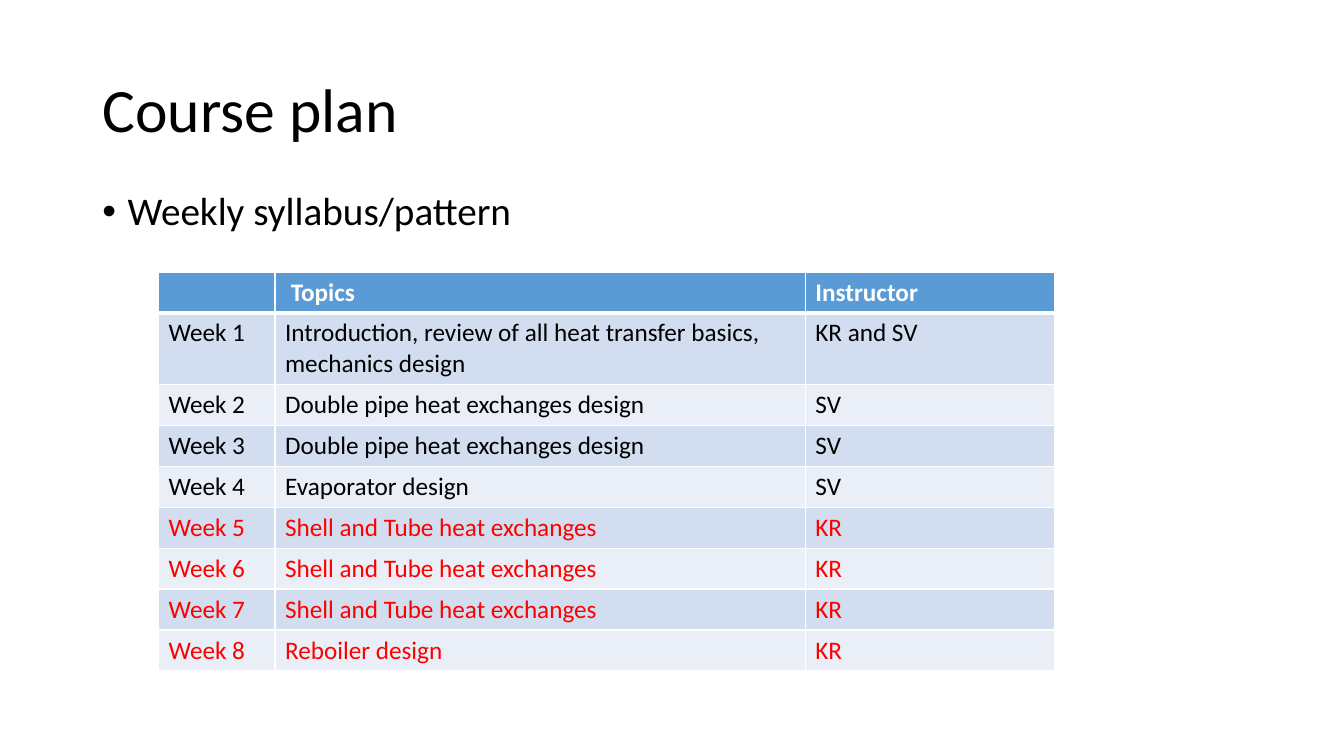
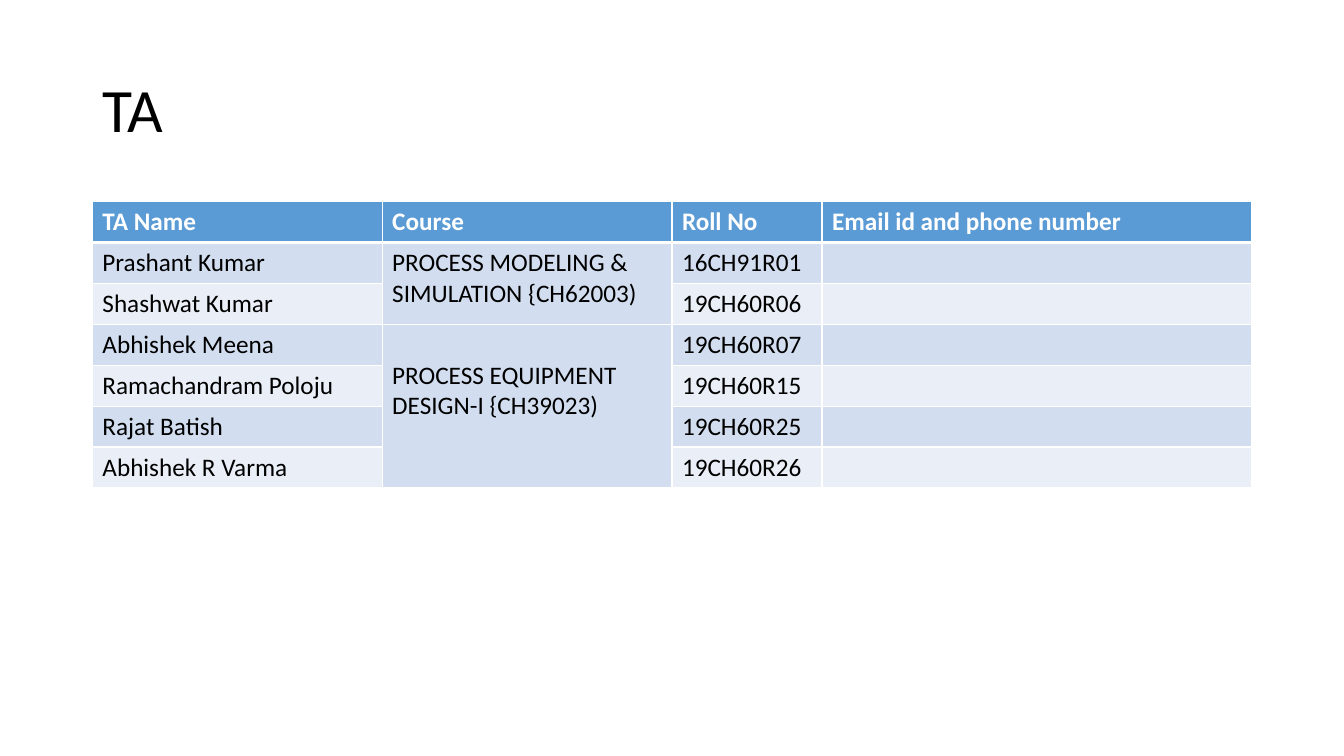
"""Build the course plan and teaching assistant slides."""
from lxml.etree import SubElement
from pptx import Presentation
from pptx.dml.color import RGBColor
from pptx.enum.text import MSO_ANCHOR, PP_ALIGN
from pptx.oxml.ns import qn
from pptx.util import Pt

PX = 9525
FONT = "Calibri"
BLACK = RGBColor(0x00, 0x00, 0x00)
WHITE = RGBColor(0xFF, 0xFF, 0xFF)
RED = RGBColor(0xFF, 0x00, 0x00)
HEADER_BLUE = RGBColor(0x5B, 0x9B, 0xD5)
BANDS = (RGBColor(0xEA, 0xEF, 0xF7), RGBColor(0xD2, 0xDE, 0xEF))

SIZE = (1280, 720)
TITLE_BOX = (88, 38, 1104, 139)
BODY_BOX = (88, 178, 1104, 457)
ROW_HEIGHT = 39
BULLET_INDENT = 24
TITLE_ONLY, TITLE_AND_CONTENT = 5, 1

PLAN = {
    "title": "Course plan",
    "bullet": "Weekly syllabus/pattern",
    "corner": (151, 259),
    "columns": (111, 505, 237),
    "rows": [
        ("", " Topics", "Instructor"),
        ("Week 1", "Introduction, review of all heat transfer basics, mechanics design", "KR and SV"),
        ("Week 2", "Double pipe heat exchanges design", "SV"),
        ("Week 3", "Double pipe heat exchanges design", "SV"),
        ("Week 4", "Evaporator design", "SV"),
        ("Week 5", "Shell and Tube heat exchanges", "KR"),
        ("Week 6", "Shell and Tube heat exchanges", "KR"),
        ("Week 7", "Shell and Tube heat exchanges", "KR"),
        ("Week 8", "Reboiler design", "KR"),
    ],
}
ASSISTANTS = {
    "title": "TA",
    "corner": (88, 192),
    "columns": (276, 276, 143, 409),
    "rows": [
        ("TA Name", "Course", "Roll No", "Email id and phone number"),
        ("Prashant Kumar", "PROCESS MODELING & SIMULATION {CH62003)", "16CH91R01", ""),
        ("Shashwat Kumar", "", "19CH60R06", ""),
        ("Abhishek Meena", "PROCESS EQUIPMENT DESIGN-I {CH39023)", "19CH60R07", ""),
        ("Ramachandram Poloju", "", "19CH60R15", ""),
        ("Rajat Batish", "", "19CH60R25", ""),
        ("Abhishek R Varma", "", "19CH60R26", ""),
    ],
}
COURSE_COLUMN = 1
COURSE_SPANS = ((1, 2), (3, 6))
SECOND_COURSE_TOP = 34


def place(shape, box):
    shape.left, shape.top, shape.width, shape.height = (n * PX for n in box)


def style(paragraph, size, color, bold=False):
    for run in paragraph.runs:
        font = run.font
        font.name, font.size, font.bold = FONT, Pt(size), bold
        font.color.rgb = color


def set_borders(cell, top, bottom):
    properties = cell._tc.get_or_add_tcPr()
    for side, points in (("L", 1), ("R", 1), ("T", top), ("B", bottom)):
        line = SubElement(properties, qn(f"a:ln{side}"), w=str(Pt(points)))
        fill = SubElement(line, qn("a:solidFill"))
        SubElement(fill, qn("a:srgbClr"), val=str(WHITE))


def add_titled_slide(deck, layout, title):
    slide = deck.slides.add_slide(deck.slide_layouts[layout])
    heading = slide.shapes.title
    place(heading, TITLE_BOX)
    heading.text_frame.text = title
    heading.text_frame.vertical_anchor = MSO_ANCHOR.MIDDLE
    paragraph = heading.text_frame.paragraphs[0]
    paragraph.alignment = PP_ALIGN.LEFT
    paragraph.line_spacing = 0.9
    style(paragraph, 44, BLACK)
    return slide


def add_bullet(slide, text):
    body = slide.placeholders[1]
    place(body, BODY_BOX)
    body.text_frame.text = text
    paragraph = body.text_frame.paragraphs[0]
    paragraph.line_spacing = 0.9
    paragraph.space_before = Pt(10)
    properties = paragraph._p.get_or_add_pPr()
    properties.set("marL", str(BULLET_INDENT * PX))
    properties.set("indent", str(-BULLET_INDENT * PX))
    SubElement(properties, qn("a:buFont"), typeface="Arial")
    SubElement(properties, qn("a:buChar"), char="•")
    style(paragraph, 28, BLACK)


def add_grid(slide, content):
    rows, widths = content["rows"], content["columns"]
    box = (*content["corner"], sum(widths), ROW_HEIGHT * len(rows))
    table = slide.shapes.add_table(len(rows), len(widths), *(n * PX for n in box)).table
    for column, width in zip(table.columns, widths):
        column.width = width * PX
    for r, row in enumerate(rows):
        header = r == 0
        table.rows[r].height = ROW_HEIGHT * PX
        color = WHITE if header else RED if row[-1] == "KR" else BLACK
        for c, text in enumerate(row):
            cell = table.cell(r, c)
            set_borders(cell, 3 if r == 1 else 1, 3 if header else 1)
            cell.fill.solid()
            cell.fill.fore_color.rgb = HEADER_BLUE if header else BANDS[r % 2]
            cell.text_frame.text = text
            style(cell.text_frame.paragraphs[0], 18, color, header)
    return table


def main():
    deck = Presentation()
    deck.slide_width, deck.slide_height = (n * PX for n in SIZE)

    plan = add_titled_slide(deck, TITLE_AND_CONTENT, PLAN["title"])
    add_bullet(plan, PLAN["bullet"])
    add_grid(plan, PLAN)

    assistants = add_titled_slide(deck, TITLE_ONLY, ASSISTANTS["title"])
    roster = add_grid(assistants, ASSISTANTS)
    for first, last in COURSE_SPANS:
        roster.cell(first, COURSE_COLUMN).merge(roster.cell(last, COURSE_COLUMN))
    second_course = roster.cell(COURSE_SPANS[1][0], COURSE_COLUMN)
    second_course.margin_top = SECOND_COURSE_TOP * PX

    deck.save("out.pptx")


if __name__ == "__main__":
    main()
